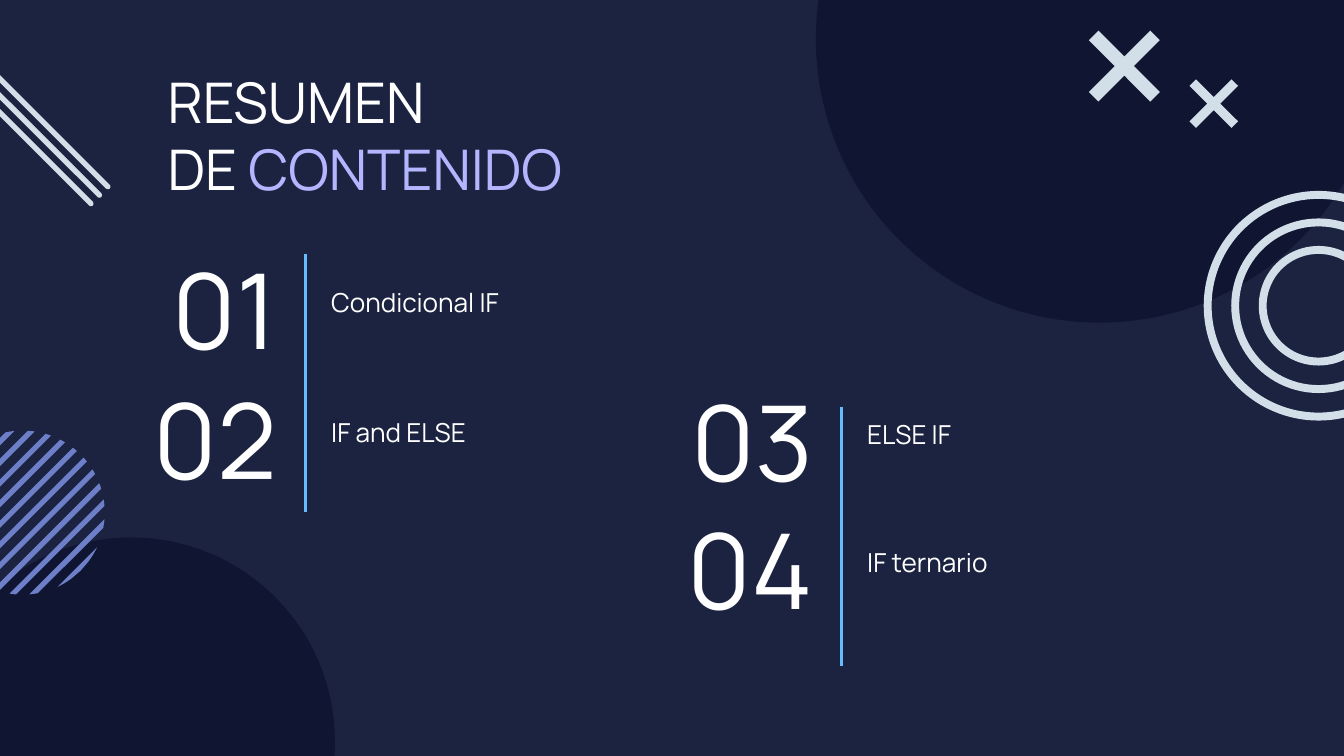
from math import sqrt

from lxml.etree import SubElement
from pptx import Presentation
from pptx.dml.color import RGBColor
from pptx.enum.shapes import MSO_CONNECTOR, MSO_SHAPE
from pptx.enum.text import MSO_ANCHOR, PP_ALIGN
from pptx.oxml.ns import qn
from pptx.util import Cm, Pt

BACKGROUND = RGBColor(0x1C, 0x23, 0x40)
NAVY = RGBColor(0x10, 0x16, 0x32)
PERIWINKLE = RGBColor(0x6D, 0x7F, 0xC9)
PALE = RGBColor(0xD2, 0xDF, 0xE9)
LILAC = RGBColor(0xB3, 0xB5, 0xFF)
SKY = RGBColor(0x67, 0xBB, 0xFF)
WHITE = RGBColor(0xFF, 0xFF, 0xFF)
FONT = "Manrope"


def paint(shape, color):
    """Give a shape a flat fill with no outline or shadow."""
    shape.fill.solid()
    shape.fill.fore_color.rgb = color
    shape.line.fill.background()
    shape.shadow.inherit = False


def add_preset(slide, kind, left, top, width, height, color):
    """Add a flat preset shape."""
    shape = slide.shapes.add_shape(kind, Cm(left), Cm(top), Cm(width), Cm(height))
    paint(shape, color)
    return shape


def add_polygon(slide, points, color):
    """Add a flat closed polygon."""
    corners = [(Cm(x), Cm(y)) for x, y in points]
    builder = slide.shapes.build_freeform(*corners[0], scale=1.0)
    builder.add_line_segments(corners[1:], close=True)
    paint(builder.convert_to_shape(), color)


def add_text(slide, left, top, width, height, lines, size,
             align=PP_ALIGN.LEFT, anchor=MSO_ANCHOR.TOP):
    """Add a text box whose lines are lists of (text, accent colour) runs."""
    box = slide.shapes.add_textbox(Cm(left), Cm(top), Cm(width), Cm(height))
    frame = box.text_frame
    frame.word_wrap = True
    frame.vertical_anchor = anchor
    frame.margin_left = frame.margin_right = Cm(0.25)
    frame.margin_top = frame.margin_bottom = Cm(0.25)
    for index, line in enumerate(lines):
        paragraph = frame.add_paragraph() if index else frame.paragraphs[0]
        paragraph.alignment = align
        paragraph.font.name = FONT
        paragraph.font.size = Pt(size)
        paragraph.font.color.rgb = WHITE
        for text, accent in line:
            run = paragraph.add_run()
            run.text = text
            if accent is not None:
                run.font.color.rgb = accent


def add_hatched_disc(slide, left, top, size):
    """Fill a disc with diagonal stripes clipped to its edge."""
    radius = size / 2
    center_x, center_y = left + radius, top + radius
    for stripe in range(11):
        start = -1.84 + 0.39 * stripe
        upper, lower = [], []
        for step in range(5):
            offset = min(start + 0.14 * step / 4, radius * sqrt(2))
            reach = sqrt(max(radius ** 2 - offset ** 2 / 2, 0)) / sqrt(2)
            x, y = center_x + offset / 2, center_y + offset / 2
            upper.append((x + reach, y - reach))
            lower.append((x - reach, y + reach))
        add_polygon(slide, upper + lower[::-1], PERIWINKLE)


def add_rings(slide, left, top, size):
    """Nest three concentric rings of equal thickness."""
    for index in range(3):
        inset = 0.52 * index
        diameter = size - 2 * inset
        ring = add_preset(slide, MSO_SHAPE.DONUT, left + inset, top + inset,
                          diameter, diameter, PALE)
        ring.adjustments[0] = 0.15 / diameter


def add_diagonal_bars(slide, left, top, size):
    """Place three parallel rounded bars at 45 degrees."""
    length, thickness, gap = 4.2, 0.1, 0.16
    for index in range(3):
        center_x = left + size / 2 - gap * index
        center_y = top + size / 2 + gap * index
        bar = add_preset(slide, MSO_SHAPE.ROUNDED_RECTANGLE, center_x - length / 2,
                         center_y - thickness / 2, length, thickness, PALE)
        bar.adjustments[0] = 0.5
        bar.rotation = 45


def add_cross(slide, left, top, size):
    """Draw a diagonal cross filling a square box."""
    arm, middle = 0.135 * size, size / 2
    points = [(arm, 0), (0, arm), (middle - arm, middle), (0, size - arm),
              (arm, size), (middle, middle + arm), (size - arm, size),
              (size, size - arm), (middle + arm, middle), (size, arm),
              (size - arm, 0), (middle, middle - arm)]
    add_polygon(slide, [(left + x, top + y) for x, y in points], PALE)


def add_agenda_column(slide, left, top, height, first_row, pitch, entries):
    """Place numbered topics on both sides of a vertical rule."""
    rule_x = left + 3.96
    for index, (number, topic) in enumerate(entries):
        row = top + first_row + pitch * index
        add_text(slide, left, row + 0.33, 3.68, 0.66, [[(number, None)]], 56,
                 PP_ALIGN.RIGHT, MSO_ANCHOR.MIDDLE)
        add_text(slide, rule_x + 0.24, row, 6.53, 1.12, [[(topic, None)]], 14)
    rule = slide.shapes.add_connector(MSO_CONNECTOR.STRAIGHT, Cm(rule_x), Cm(top),
                                      Cm(rule_x), Cm(top + height))
    rule.line.color.rgb = SKY
    rule.line.width = Pt(1.5)
    SubElement(rule._element.spPr, qn("a:effectLst"))


def add_decoration(slide, width, height):
    """Scatter the ornaments around the edges of the slide."""
    add_preset(slide, MSO_SHAPE.OVAL, -1.37, height - 4.13, 7.7, 7.7, NAVY)
    add_preset(slide, MSO_SHAPE.OVAL, width - 9.98, -4.62, 10.72, 10.72, NAVY)
    add_hatched_disc(slide, -1.12, 8.14, 3.1)
    add_rings(slide, width - 2.65, 3.61, 4.34)
    add_diagonal_bars(slide, -0.91, 0.58, 3)
    add_cross(slide, width - 2.92, 1.5, 0.92)
    add_cross(slide, width - 4.82, 0.58, 1.34)


def main():
    """Build and save the contents slide."""
    width, height = 25.4, 14.29
    presentation = Presentation()
    presentation.slide_width = Cm(width)
    presentation.slide_height = Cm(height)
    slide = presentation.slides.add_slide(presentation.slide_layouts[6])
    slide.background.fill.solid()
    slide.background.fill.fore_color.rgb = BACKGROUND
    add_decoration(slide, width, height)
    add_text(slide, 2.92, 1.02, 10.29, 2.49,
             [[("RESUMEN", None)], [("DE ", None), ("CONTENIDO", LILAC)]], 30)
    add_agenda_column(slide, 1.81, 4.8, 4.88, 0.36, 2.46,
                      [("01", "Condicional IF"), ("02", "IF and ELSE")])
    add_agenda_column(slide, 11.94, 7.7, 4.88, -0.05, 2.43,
                      [("03", "ELSE IF"), ("04", "IF ternario")])
    presentation.save("out.pptx")


if __name__ == "__main__":
    main()
